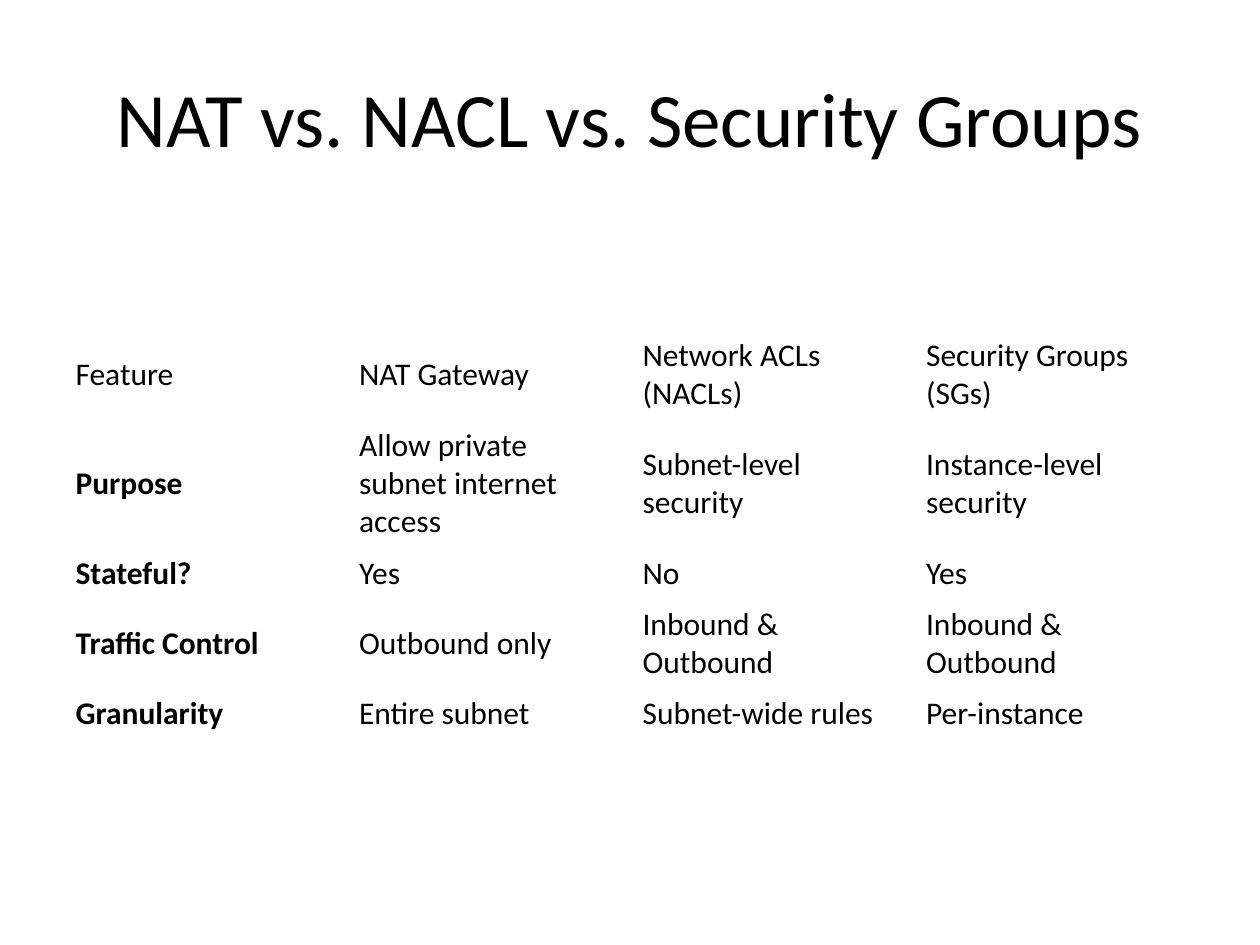
"""Build a slide with a table comparing NAT gateways, network ACLs and security groups."""
from pptx import Presentation
from pptx.dml.color import RGBColor
from pptx.enum.text import MSO_ANCHOR, PP_ALIGN
from pptx.util import Pt


def color(hex_code):
    return RGBColor.from_string(hex_code)


class SlideBuilder:
    font_name = "Calibri"
    text_color = "000000"
    title_size = 44
    cell_size = 18
    line_height = 22
    cell_padding = 7

    def __init__(self, page):
        self.page = page

    def add_text(self, frame, text, size, bold=False, align=PP_ALIGN.LEFT):
        para = frame.paragraphs[0]
        para.alignment = align
        span = para.add_run()
        span.text = text
        span.font.name = self.font_name
        span.font.size = Pt(size)
        span.font.bold = bold
        span.font.color.rgb = color(self.text_color)

    def title(self, text, left, top, width, height):
        box = self.page.shapes.title
        box.left, box.top, box.width, box.height = Pt(left), Pt(top), Pt(width), Pt(height)
        box.text_frame.vertical_anchor = MSO_ANCHOR.MIDDLE
        self.add_text(box.text_frame, text, self.title_size, align=PP_ALIGN.CENTER)

    def table(self, rows, line_counts, left, top, width):
        heights = [lines * self.line_height + self.cell_padding for lines in line_counts]
        table = self.page.shapes.add_table(
            len(rows), len(rows[0]), Pt(left), Pt(top), Pt(width), Pt(sum(heights))
        ).table
        table.first_row = False
        table.horz_banding = False
        for row_index, (texts, height) in enumerate(zip(rows, heights)):
            table.rows[row_index].height = Pt(height)
            for column_index, text in enumerate(texts):
                cell = table.cell(row_index, column_index)
                cell.fill.background()
                cell.vertical_anchor = MSO_ANCHOR.MIDDLE
                is_row_label = row_index > 0 and column_index == 0
                self.add_text(cell.text_frame, text, self.cell_size, bold=is_row_label)


def main():
    deck = Presentation()
    deck.slide_width, deck.slide_height = Pt(720), Pt(540)
    builder = SlideBuilder(deck.slides.add_slide(deck.slide_layouts[5]))
    builder.title("NAT vs. NACL vs. Security Groups", 36, 21.6, 648, 90)
    comparison = [
        ("Feature", "NAT Gateway", "Network ACLs (NACLs)", "Security Groups (SGs)"),
        ("Purpose", "Allow private subnet internet access",
         "Subnet-level security", "Instance-level security"),
        ("Stateful?", "Yes", "No", "Yes"),
        ("Traffic Control", "Outbound only", "Inbound & Outbound", "Inbound & Outbound"),
        ("Granularity", "Entire subnet", "Subnet-wide rules", "Per-instance"),
    ]
    builder.table(comparison, (2, 3, 1, 2, 1), 36, 188.64, 648)
    deck.save("out.pptx")


if __name__ == "__main__":
    main()
